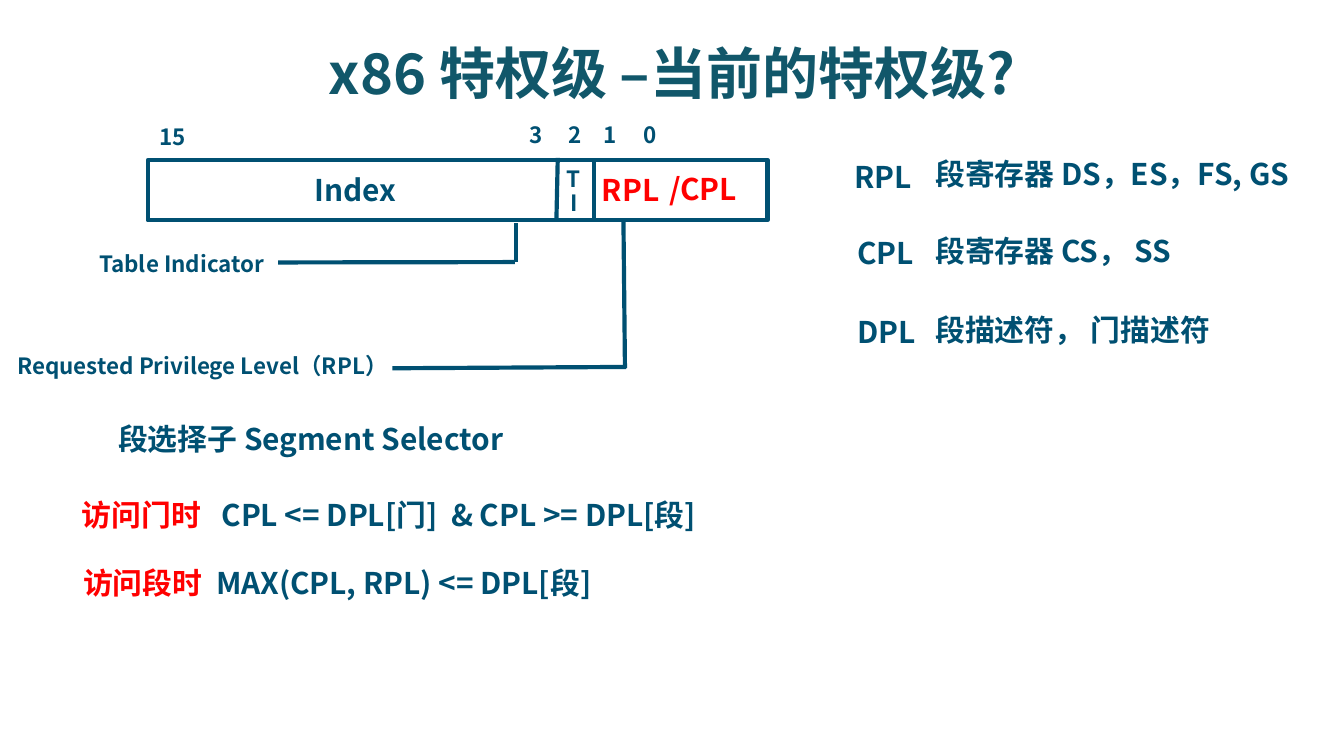
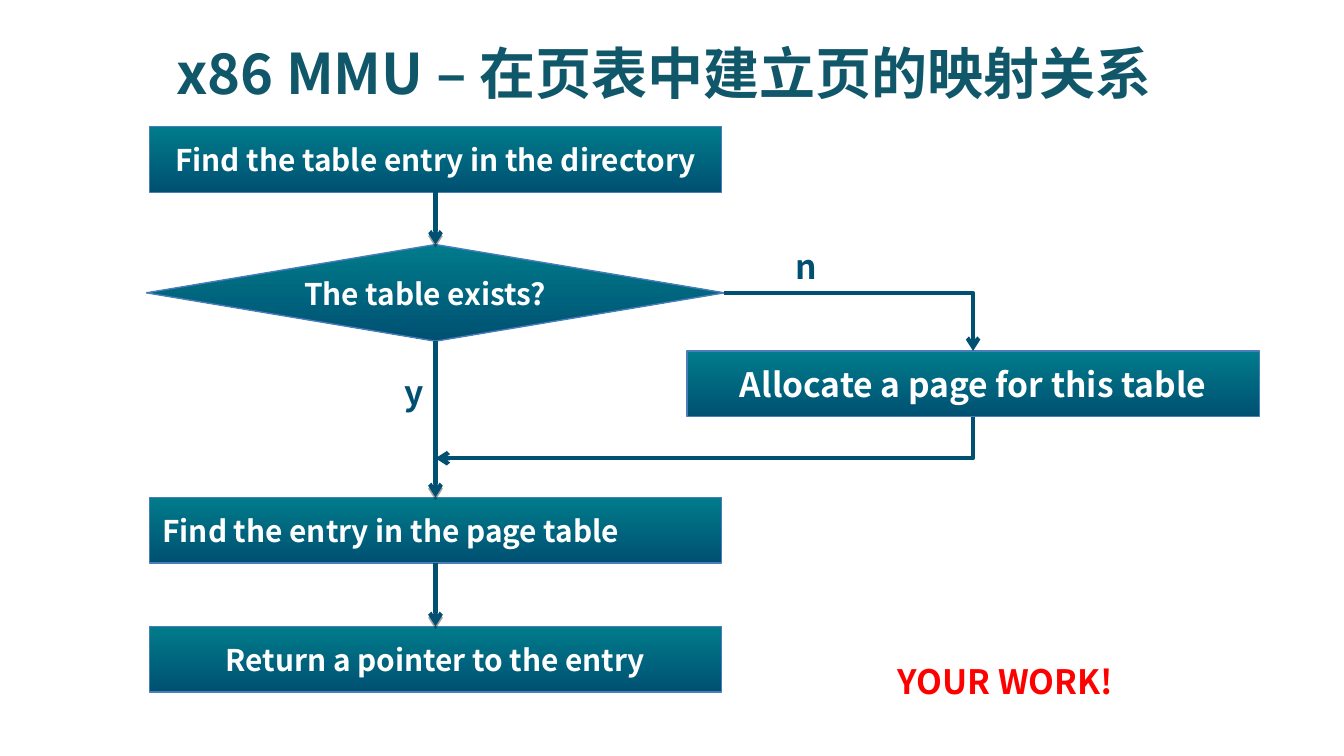
"""Build two slides on x86 privilege levels and page-table mapping."""
from lxml.etree import SubElement
from pptx import Presentation
from pptx.dml.color import RGBColor
from pptx.enum.shapes import MSO_CONNECTOR, MSO_SHAPE
from pptx.enum.text import MSO_ANCHOR, MSO_AUTO_SIZE, PP_ALIGN
from pptx.oxml.ns import qn
from pptx.util import Pt

FONT = "Noto Sans CJK SC"
TITLE, NAVY, TEAL, RED, WHITE, EDGE = "11576A", "005072", "007C8B", "FF0000", "FFFFFF", "4A7EBB"
LEFT, CENTER = PP_ALIGN.LEFT, PP_ALIGN.CENTER


def rgb(code):
    return RGBColor.from_string(code)


def assign(target, values):
    for name, value in values.items():
        setattr(target, name, value)


class Deck:
    def __init__(self, width, height):
        self.prs = Presentation()
        assign(self.prs, {"slide_width": Pt(width), "slide_height": Pt(height)})
        self.slide = None

    def put_text(self, shape, text, size, color, align, **frame_format):
        frame = shape.text_frame
        assign(frame, {"word_wrap": True, **frame_format})
        paragraph = frame.paragraphs[0]
        paragraph.alignment = align
        run = paragraph.add_run()
        run.text = text
        assign(run.font, {"name": FONT, "size": Pt(size), "bold": True})
        run.font.color.rgb = rgb(color)
        SubElement(run.font._element, qn("a:ea")).set("typeface", FONT)

    def new_slide(self, title, left, width, align):
        self.slide = self.prs.slides.add_slide(self.prs.slide_layouts[5])
        heading = self.slide.shapes.title
        assign(heading, {"left": Pt(left), "top": Pt(16.5), "width": Pt(width), "height": Pt(44)})
        self.put_text(heading, title, 30, TITLE, align,
                      auto_size=MSO_AUTO_SIZE.NONE, vertical_anchor=MSO_ANCHOR.MIDDLE)

    def label(self, text, left, top, width, size=16, color=NAVY, wrap=True):
        box = self.slide.shapes.add_textbox(Pt(left), Pt(top), Pt(width), Pt(1.2 * size + 7.2))
        self.put_text(box, text, size, color, LEFT, word_wrap=wrap,
                      auto_size=MSO_AUTO_SIZE.SHAPE_TO_FIT_TEXT)

    def outline(self, kind, left, top, width, height, color, weight):
        shape = self.slide.shapes.add_shape(kind, Pt(left), Pt(top), Pt(width), Pt(height))
        shape.shadow.inherit = False
        shape.fill.background()
        shape.line.color.rgb = rgb(color)
        shape.line.width = Pt(weight)
        return shape

    def step(self, text, left, top, width=306.7, height=35.3, size=16, align=CENTER,
             kind=MSO_SHAPE.FLOWCHART_PROCESS, anchor=MSO_ANCHOR.MIDDLE):
        shape = self.outline(kind, left, top, width, height, EDGE, 0.75)
        shape.fill.gradient()
        shape.fill.gradient_angle = 270
        for stop, color, position in zip(shape.fill.gradient_stops, (TEAL, NAVY), (0, 1)):
            stop.color.rgb = rgb(color)
            stop.position = position
        self.put_text(shape, text, size, WHITE, align, vertical_anchor=anchor)

    def line(self, start, end, arrow=False, shadow=False, kind=MSO_CONNECTOR.STRAIGHT):
        points = [Pt(value) for value in (*start, *end)]
        connector = self.slide.shapes.add_connector(kind, *points)
        connector.line.color.rgb = rgb(NAVY)
        connector.line.width = Pt(2.25)
        if arrow:
            SubElement(connector.line._get_or_add_ln(), qn("a:tailEnd")).set("type", "arrow")
        effects = SubElement(connector.element.spPr, qn("a:effectLst"))
        if shadow:
            drop = SubElement(effects, qn("a:outerShdw"), dist=str(Pt(1.6)), dir="5400000")
            black = SubElement(drop, qn("a:srgbClr"), val="000000")
            SubElement(black, qn("a:alpha"), val="36000")
        return connector

    def elbow(self, start, end, down_first=False):
        if down_first:
            middle = [(a + b) / 2 for a, b in zip(start, end)]
            half = (abs(end[1] - start[1]) / 2, abs(end[0] - start[0]) / 2)
            start = [m - h for m, h in zip(middle, half)]
            end = [m + h for m, h in zip(middle, half)]
        properties = self.line(start, end, arrow=True, kind=MSO_CONNECTOR.ELBOW).element.spPr
        properties.find(qn("a:prstGeom")).set("prst", "bentConnector2")
        if down_first:
            properties.find(qn("a:xfrm")).set("rot", "5400000")


def privilege_slide(deck):
    deck.new_slide("x86 特权级 –当前的特权级?", 0, 720, CENTER)
    deck.outline(MSO_SHAPE.RECTANGLE, 79.2, 85.7, 332, 32.4, NAVY, 2.25)
    for start, end in (
        ((298.8, 84.6), (298.1, 117.4)),
        ((318.2, 85.7), (318.2, 118)),
        ((276.5, 119.5), (276.5, 140.4)),
        ((275.8, 140.4), (149, 140.6)),
        ((334, 117.4), (334.8, 197.3)),
        ((335.5, 196.6), (210.2, 197.3)),
    ):
        deck.line(start, end)
    for bit, left, top in (("15", 78.5, 62.6), ("3", 276.5, 61.2), ("2", 297.4, 61.2),
                           ("1", 316, 61.2), ("0", 337.5, 61.2),
                           ("T", 296.6, 85), ("I", 298.8, 97.9)):
        deck.label(bit, left, top, 35 if bit == "15" else 23, 12)
    deck.label("Index", 161.3, 88.6, 100)
    deck.label("RPL", 315.4, 88.6, 51, color=RED)
    deck.label("/CPL", 351.4, 87.8, 55, color=RED)
    deck.label("Table Indicator", 46, 130.3, 122, 12)
    deck.label("Requested Privilege Level（RPL）", 2.2, 185, 394, 12)
    deck.label("段选择子 Segment Selector", 56.2, 221.8, 263)
    for level, holder, left, top in (
        ("RPL", "段寄存器 DS，ES，FS, GS", 450.7, 80),
        ("CPL", "段寄存器 CS， SS", 452.2, 121),
        ("DPL", "段描述符， 门描述符", 452.2, 163.5),
    ):
        deck.label(level, left, top + 1.2, 51)
        deck.label(holder, 494, top, 213)
    for case, rule, case_left, rule_left, top in (
        ("访问门时", "CPL <= DPL[门]  & CPL >= DPL[段]", 36.7, 111.6, 262.8),
        ("访问段时", "MAX(CPL, RPL) <= DPL[段]", 37.4, 108.7, 298.8),
    ):
        deck.label(case, case_left, top, 87, color=RED)
        deck.label(rule, rule_left, top, 300)


def mapping_slide(deck):
    deck.new_slide("x86 MMU – 在页表中建立页的映射关系", 87.1, 618.5, LEFT)
    main_x, side_x = 233.3, 521.3
    for text, top, align in (
        ("Find the table entry in the directory", 67.7, CENTER),
        ("Find the entry in the page table", 266.4, LEFT),
        ("Return a pointer to the entry", 335.5, CENTER),
    ):
        deck.step(text, 80, top, align=align)
    deck.step("The table exists?", 78.5, 131, 309.6, 51.8, align=LEFT,
              kind=MSO_SHAPE.FLOWCHART_DECISION, anchor=MSO_ANCHOR.TOP)
    deck.step("Allocate a page for this table", 368, 188, size=18)
    for top, bottom in ((103, 131), (182.8, 266.4), (301.7, 335.5)):
        deck.line((main_x, top), (main_x, bottom), arrow=True, shadow=True)
    deck.elbow((388.1, 156.9), (side_x, 188))
    deck.elbow((side_x, 223.3), (main_x, 245.5), down_first=True)
    deck.label("n", 419, 128.2, 26, 18, wrap=False)
    deck.label("y", 209.5, 195.8, 25, 18, wrap=False)
    deck.label("YOUR WORK!", 473.8, 350.6, 139, 18, RED, wrap=False)


def main():
    deck = Deck(720, 405)
    privilege_slide(deck)
    mapping_slide(deck)
    deck.prs.save("out.pptx")


if __name__ == "__main__":
    main()
